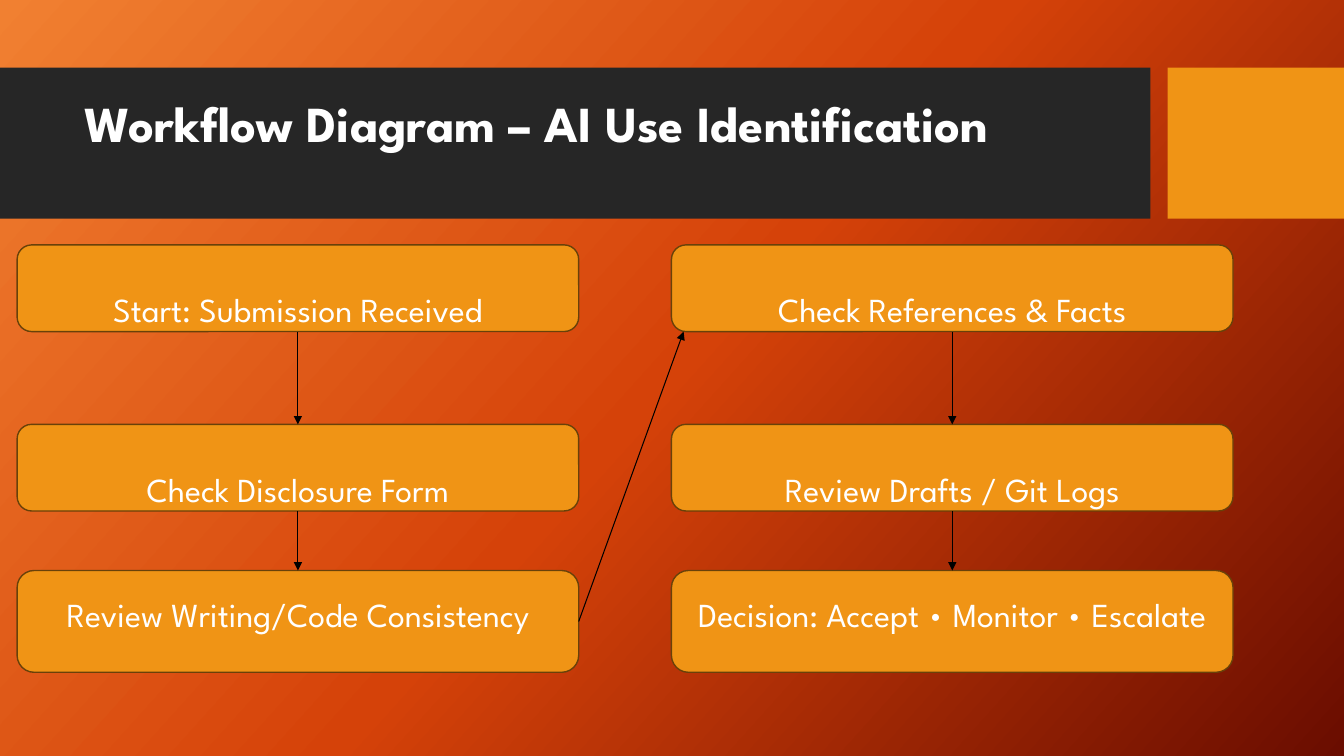
from copy import deepcopy

from lxml import etree
from pptx import Presentation
from pptx.dml.color import RGBColor
from pptx.enum import shapes, text
from pptx.oxml.ns import qn
from pptx.util import Inches, Pt

COLOURS = {
    "light": "F18031", "middle": "D54209", "deep": "6A0D00",
    "banner": "262626", "accent": "F09415", "outline": "694109",
    "text": "FFFFFF", "arrow": "000000",
}
FONT = "League Spartan"
COLUMN_LEFTS = (0.17, 6.66)
STEP_WIDTH = 5.57
ROWS = ((2.43, 0.86, 0.42, 0), (4.21, 0.86, 0.42, 0), (5.66, 1.01, 0, 0.15))
STEPS = (
    ("Start: Submission Received", "Check Disclosure Form",
     "Review Writing/Code Consistency"),
    ("Check References & Facts", "Review Drafts / Git Logs",
     "Decision: Accept • Monitor • Escalate"),
)


def colour(name):
    return RGBColor.from_string(COLOURS[name])


def paint_background(page):
    fill = page.background.fill
    fill.gradient()
    fill.gradient_angle = 318
    stop_list = page.element.xpath(".//a:gsLst")[0]
    stop_list.append(deepcopy(stop_list[-1]))
    for stop, name, position in zip(
            fill.gradient_stops, ("light", "middle", "deep"), (0, 0.5, 1)):
        stop.color.rgb = colour(name)
        stop.position = position


def add_block(page, kind, place, fill, outline=None):
    block = page.shapes.add_shape(kind, *map(Inches, place))
    block.shadow.inherit = False
    block.fill.solid()
    block.fill.fore_color.rgb = colour(fill)
    if outline:
        block.line.color.rgb = colour(outline)
        block.line.width = Pt(1)
    else:
        block.line.fill.background()
    return block


def write(box, wording, size, alignment, top, bottom, bold=False):
    frame = box.text_frame
    frame.word_wrap = True
    frame.vertical_anchor = text.MSO_ANCHOR.MIDDLE
    frame.margin_top, frame.margin_bottom = Inches(top), Inches(bottom)
    para = frame.paragraphs[0]
    para.alignment = alignment
    span = para.add_run()
    span.text = wording
    span.font.name = FONT
    span.font.size = Pt(size)
    span.font.bold = bold
    span.font.color.rgb = colour("text")


def add_banner(page, top, height):
    rectangle = shapes.MSO_SHAPE.RECTANGLE
    add_block(page, rectangle, (0, top, 11.41, height), "banner")
    add_block(page, rectangle, (11.58, top, 1.75, height), "accent")
    title = page.shapes.add_textbox(
        *map(Inches, (0.74, top + 0.15, 10.51, 1.18)))
    write(title, "Workflow Diagram – AI Use Identification", 36,
          text.PP_ALIGN.LEFT, 0, 0.4, bold=True)


def add_arrow(page, start, side, end=None, point=(0, 0)):
    arrow = page.shapes.add_connector(
        shapes.MSO_CONNECTOR.STRAIGHT, 0, 0, *map(Inches, point))
    arrow.begin_connect(start, side)
    if end is not None:
        arrow.end_connect(end, 0)
    arrow.line.color.rgb = colour("arrow")
    arrow.line.width = Pt(0.75)
    properties = arrow.element.spPr
    line = properties.find(qn("a:ln"))
    etree.SubElement(line, qn("a:tailEnd"), type="triangle")
    etree.SubElement(properties, qn("a:effectLst"))


def add_column(page, left, labels):
    steps = []
    for label, (top, height, inset_top, inset_bottom) in zip(labels, ROWS):
        step = add_block(page, shapes.MSO_SHAPE.ROUNDED_RECTANGLE,
                         (left, top, STEP_WIDTH, height), "accent", "outline")
        write(step, label, 24, text.PP_ALIGN.CENTER, inset_top, inset_bottom)
        steps.append(step)
    for upper, lower in zip(steps, steps[1:]):
        add_arrow(page, upper, 2, lower)
    return steps


def add_workflow(page):
    columns = [add_column(page, left, labels)
               for left, labels in zip(COLUMN_LEFTS, STEPS)]
    first_top, first_height = ROWS[0][:2]
    add_arrow(page, columns[0][-1], 3,
              point=(COLUMN_LEFTS[1] + 0.12, first_top + first_height))


def main():
    deck = Presentation()
    deck.slide_width, deck.slide_height = Inches(13.33), Inches(7.5)
    page = deck.slides.add_slide(deck.slide_layouts[6])
    paint_background(page)
    add_banner(page, 0.67, 1.5)
    add_workflow(page)
    deck.save("out.pptx")


if __name__ == "__main__":
    main()
